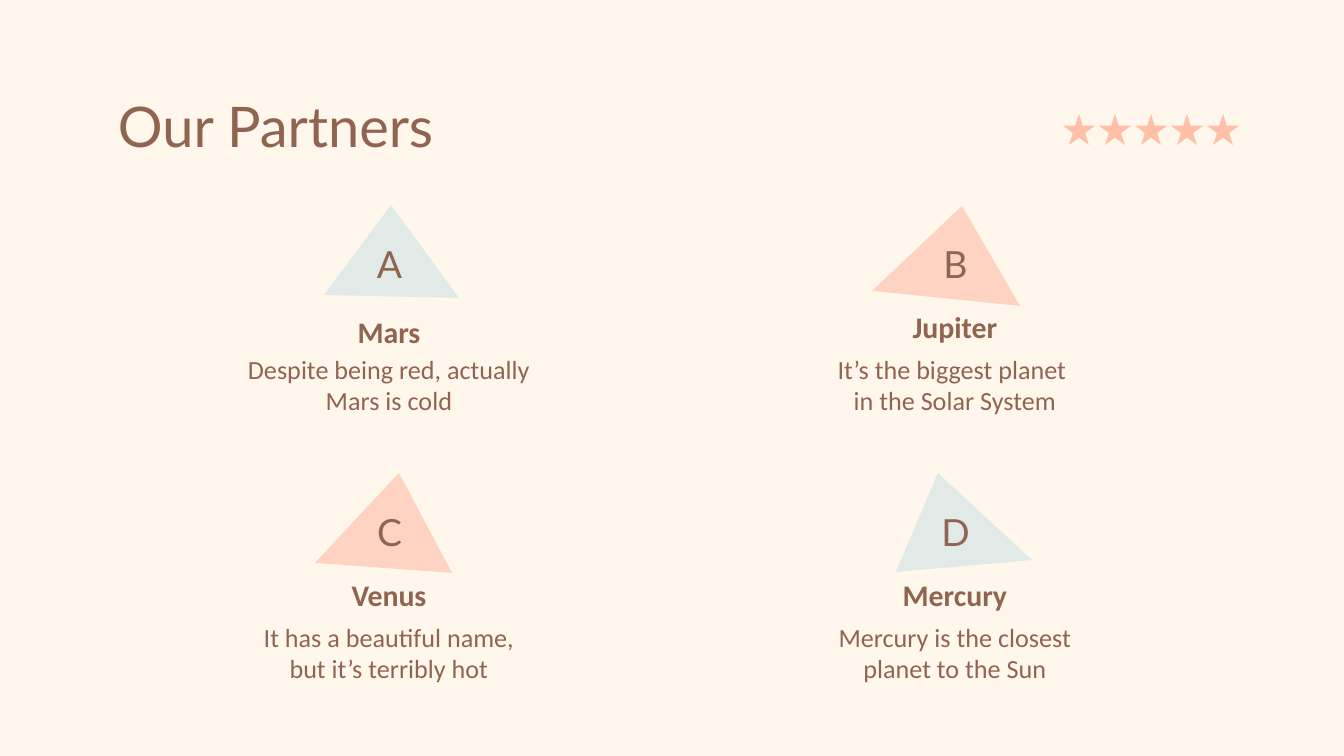
from dataclasses import dataclass

from pptx import Presentation
from pptx.dml.color import RGBColor
from pptx.enum.shapes import MSO_SHAPE
from pptx.enum.text import MSO_ANCHOR, MSO_AUTO_SIZE, PP_ALIGN
from pptx.util import Pt

STAR = MSO_SHAPE.STAR_5_POINT
TOP, MIDDLE = MSO_ANCHOR.TOP, MSO_ANCHOR.MIDDLE
LEFT, CENTER = PP_ALIGN.LEFT, PP_ALIGN.CENTER
NO_FIT = MSO_AUTO_SIZE.NONE

WIDTH, HEIGHT = 1344, 756
SCALE = 9144000 / WIDTH  # EMU per px


def px(n):
    return round(n * SCALE)


@dataclass(frozen=True)
class Theme:
    back: str = "FFF6EC"
    ink: str = "916452"
    star: str = "FFC0A7"
    pink: str = "FED3C2"
    mint: str = "E1EAE7"
    head: str = "Lato"
    body: str = "Calibri"
    title: int = 30
    letter: int = 20
    name: int = 16
    note: int = 14
    inset: int = 13


class Deck:
    def __init__(self, theme):
        self.theme = theme
        self.file = Presentation()
        self.file.slide_width = px(WIDTH)
        self.file.slide_height = px(HEIGHT)
        self.slide = self.file.slides.add_slide(self.file.slide_layouts[5])
        fill = self.slide.background.fill
        fill.solid()
        fill.fore_color.rgb = RGBColor.from_string(theme.back)

    def style(self, shape, text, size, font, align, anchor, bold):
        frame = shape.text_frame
        frame.text = text
        frame.word_wrap = True
        frame.auto_size = NO_FIT
        frame.vertical_anchor = anchor
        frame.margin_left = frame.margin_right = px(self.theme.inset)
        frame.margin_top = frame.margin_bottom = px(self.theme.inset)
        for para in frame.paragraphs:
            para.alignment = align
            para.font.name = font
            para.font.size = Pt(size)
            para.font.bold = bold
            para.font.color.rgb = RGBColor.from_string(self.theme.ink)

    def title(self, text, x, y, w, h):
        shape = self.slide.shapes.title
        shape.left, shape.top, shape.width, shape.height = map(px, (x, y, w, h))
        self.style(shape, text, self.theme.title, self.theme.head, LEFT, TOP, False)

    def text(self, text, x, y, w, h, size, font, anchor=MIDDLE, bold=False):
        shape = self.slide.shapes.add_textbox(*map(px, (x, y, w, h)))
        self.style(shape, text, size, font, CENTER, anchor, bold)

    def paint(self, shape, color):
        shape.shadow.inherit = False
        shape.fill.solid()
        shape.fill.fore_color.rgb = RGBColor.from_string(color)
        shape.line.fill.background()

    def star(self, x, y, w, h):
        shape = self.slide.shapes.add_shape(STAR, *map(px, (x, y, w, h)))
        self.paint(shape, self.theme.star)

    def triangle(self, points, color):
        outline = self.slide.shapes.build_freeform(*points[0], scale=SCALE)
        outline.add_line_segments(points[1:], close=True)
        self.paint(outline.convert_to_shape(), color)


def main():
    theme = Theme()
    deck = Deck(theme)

    # Title and star rating
    deck.title("Our Partners", 105, 79, 1134, 85)
    for i in range(5):
        deck.star(1063 + 36 * i, 114, 32, 31)

    # Partner cards: letter, name, name anchor, note, colour, triangle
    cards = [
        ("A", "Mars", TOP, "Despite being red, actually Mars is cold",
         theme.mint, [(324, 295), (391, 205), (459, 298)]),
        ("B", "Jupiter", MIDDLE, "It’s the biggest planet \vin the Solar System",
         theme.pink, [(872, 291), (962, 206), (1020, 306)]),
        ("C", "Venus", MIDDLE, "It has a beautiful name, but it’s terribly hot",
         theme.pink, [(315, 563), (399, 473), (452, 573)]),
        ("D", "Mercury", MIDDLE, "Mercury is the closest planet to the Sun",
         theme.mint, [(1032, 560), (938, 473), (896, 572)]),
    ]
    for i, (letter, name, anchor, note, color, points) in enumerate(cards):
        row, col = divmod(i, 2)
        x, y = 231 + 566 * col, 243 + 268 * row
        deck.triangle(points, color)
        deck.text(letter, x + 100, y, 117, 42, theme.letter, theme.head)
        deck.text(name, x, y + 58, 316, 52, theme.name, theme.body, anchor, True)
        deck.text(note, x, y + 97, 316, 85, theme.note, theme.body, TOP)

    deck.file.save("out.pptx")


if __name__ == "__main__":
    main()
